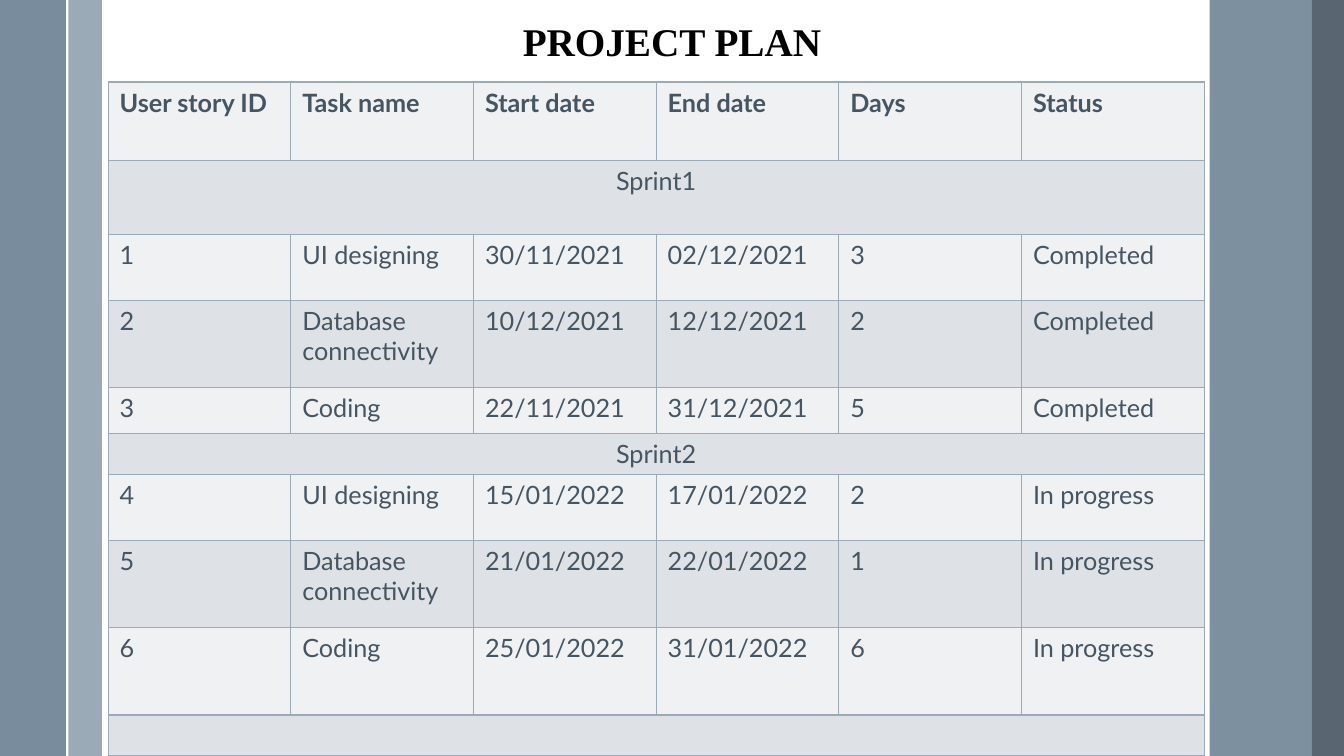
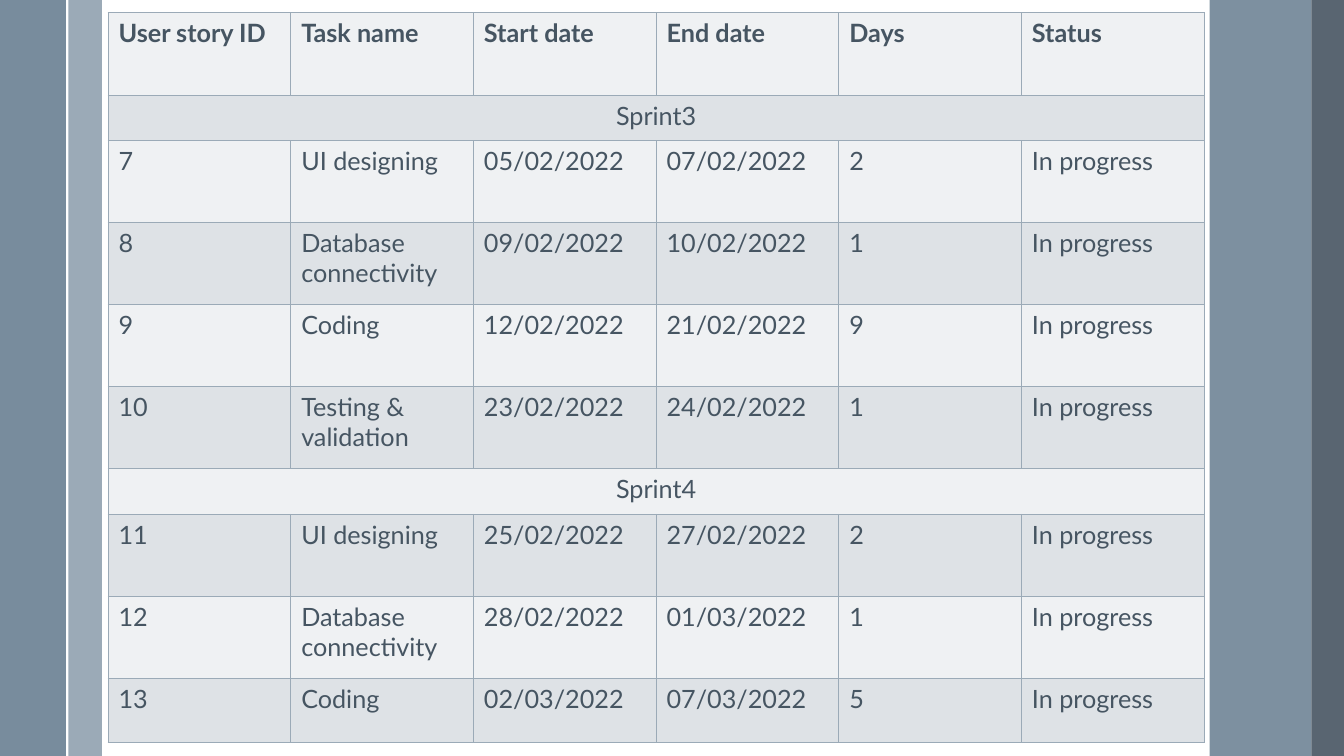
from dataclasses import dataclass

from lxml import etree
from pptx import Presentation
from pptx import util as u
from pptx.dml.color import RGBColor
from pptx.enum import shapes, text
from pptx.oxml.ns import qn

# Scale and page
EMU_PER_PX = 9525
WIDTH, HEIGHT = 1280, 720

# Shared style
WHITE, BLACK = "FFFFFF", "000000"
PALE_BAND, MID_BAND, DARK_BAND = "9BAAB7", "6A8093", "475562"
TABLE_TEXT, GRID = "465562", "9BAAB7"
ROW_FILLS = ("EFF1F3", "DEE2E6")
TITLE_FONT, TABLE_FONT = "Times New Roman", "Lato"
TABLE_LEFT, COLUMN_WIDTH = 103, 174
HEADINGS = ("User story ID", "Task name", "Start date", "End date", "Days", "Status")


@dataclass(frozen=True)
class Band:
    left: int
    width: int
    color: str
    opacity: int = 100


@dataclass(frozen=True)
class PlanRow:
    """A row with one cell spans the whole table."""
    height: int
    cells: tuple[str, ...]


@dataclass(frozen=True)
class PlanSlide:
    title: str
    table_top: int
    side_margin: int
    rows: tuple[PlanRow, ...]


BANDS = (
    Band(65, 32, PALE_BAND),
    Band(0, 64, MID_BAND, 90),
    Band(1152, 97, MID_BAND, 87),
    Band(1249, 31, DARK_BAND, 90),
)

DONE, ONGOING = "Completed", "In progress"
DESIGN, DATABASE, CODING = "UI designing", "Database connectivity", "Coding"

PLAN_SLIDES = (
    PlanSlide("PROJECT PLAN", 78, 11, (
        PlanRow(75, HEADINGS),
        PlanRow(70, ("Sprint1",)),
        PlanRow(63, ("1", DESIGN, "30/11/2021", "02/12/2021", "3", DONE)),
        PlanRow(83, ("2", DATABASE, "10/12/2021", "12/12/2021", "2", DONE)),
        PlanRow(44, ("3", CODING, "22/11/2021", "31/12/2021", "5", DONE)),
        PlanRow(39, ("Sprint2",)),
        PlanRow(63, ("4", DESIGN, "15/01/2022", "17/01/2022", "2", ONGOING)),
        PlanRow(83, ("5", DATABASE, "21/01/2022", "22/01/2022", "1", ONGOING)),
        PlanRow(83, ("6", CODING, "25/01/2022", "31/01/2022", "6", ONGOING)),
        PlanRow(39, ("",)),
    )),
    PlanSlide("", 12, 10, (
        PlanRow(79, HEADINGS),
        PlanRow(43, ("Sprint3",)),
        PlanRow(78, ("7", DESIGN, "05/02/2022", "07/02/2022", "2", ONGOING)),
        PlanRow(78, ("8", DATABASE, "09/02/2022", "10/02/2022", "1", ONGOING)),
        PlanRow(78, ("9", CODING, "12/02/2022", "21/02/2022", "9", ONGOING)),
        PlanRow(78, ("10", "Testing & validation", "23/02/2022", "24/02/2022", "1", ONGOING)),
        PlanRow(44, ("Sprint4",)),
        PlanRow(78, ("11", DESIGN, "25/02/2022", "27/02/2022", "2", ONGOING)),
        PlanRow(78, ("12", DATABASE, "28/02/2022", "01/03/2022", "1", ONGOING)),
        PlanRow(61, ("13", CODING, "02/03/2022", "07/03/2022", "5", ONGOING)),
    )),
)


def px(length: int) -> u.Emu:
    return u.Emu(length * EMU_PER_PX)


def paint(fill, color: str) -> None:
    fill.solid()
    fill.fore_color.rgb = RGBColor.from_string(color)


def format_runs(paragraph, font_name: str, size: int, color: str, bold: bool) -> None:
    for run in paragraph.runs:
        run.font.name = font_name
        run.font.size = u.Pt(size)
        run.font.bold = bold
        paint(run.font.fill, color)


# Side bands and divider
def draw_band(slide, band: Band) -> None:
    shape = slide.shapes.add_shape(
        shapes.MSO_SHAPE.RECTANGLE, px(band.left), 0, px(band.width), px(HEIGHT))
    shape.shadow.inherit = False
    shape.line.fill.background()
    paint(shape.fill, band.color)
    if band.opacity < 100:
        color = shape._element.spPr.find(qn("a:solidFill"))[0]
        etree.SubElement(color, qn("a:alpha"), val=str(band.opacity * 1000))


def draw_frame(slide) -> None:
    for band in BANDS:
        draw_band(slide, band)
    divider = slide.shapes.add_connector(
        shapes.MSO_CONNECTOR.STRAIGHT, px(64), 0, px(64), px(HEIGHT))
    paint(divider.line.fill, WHITE)
    divider.line.width = u.Pt(1.5)
    etree.SubElement(divider._element.spPr, qn("a:effectLst"))


# Title
def draw_title(slide, title: str) -> None:
    box = slide.shapes.add_textbox(px(481), px(12), px(318), px(55))
    box.text_frame.word_wrap = True
    box.text_frame.auto_size = text.MSO_AUTO_SIZE.SHAPE_TO_FIT_TEXT
    box.text_frame.text = title
    paragraph = box.text_frame.paragraphs[0]
    paragraph.alignment = text.PP_ALIGN.CENTER
    format_runs(paragraph, TITLE_FONT, 28, BLACK, True)


# Plan table
def add_borders(cell) -> None:
    properties = cell._tc.get_or_add_tcPr()
    for side in ("lnL", "lnR", "lnT", "lnB"):
        line = etree.SubElement(properties, qn(f"a:{side}"), w=str(u.Pt(1)))
        fill = etree.SubElement(line, qn("a:solidFill"))
        etree.SubElement(fill, qn("a:srgbClr"), val=GRID)


def draw_table(slide, plan: PlanSlide) -> None:
    columns = len(HEADINGS)
    table = slide.shapes.add_table(
        len(plan.rows), columns, px(TABLE_LEFT), px(plan.table_top),
        px(columns * COLUMN_WIDTH), px(sum(row.height for row in plan.rows))).table
    table.first_row = table.horz_banding = False
    for column in table.columns:
        column.width = px(COLUMN_WIDTH)
    for index, row in enumerate(plan.rows):
        table.rows[index].height = px(row.height)
        cells = list(table.rows[index].cells)
        for cell in cells:
            add_borders(cell)
            paint(cell.fill, ROW_FILLS[index % 2])
            cell.margin_left = cell.margin_right = px(plan.side_margin)
            cell.margin_top = cell.margin_bottom = px(5)
        spans_table = len(row.cells) == 1
        if spans_table:
            cells[0].merge(cells[-1])
        for cell, wording in zip(cells, row.cells):
            cell.text_frame.text = wording
            paragraph = cell.text_frame.paragraphs[0]
            if spans_table:
                paragraph.alignment = text.PP_ALIGN.CENTER
            format_runs(paragraph, TABLE_FONT, 18, TABLE_TEXT, index == 0)


def main() -> None:
    presentation = Presentation()
    presentation.slide_width, presentation.slide_height = px(WIDTH), px(HEIGHT)
    for plan in PLAN_SLIDES:
        slide = presentation.slides.add_slide(presentation.slide_layouts[6])
        paint(slide.background.fill, WHITE)
        draw_frame(slide)
        if plan.title:
            draw_title(slide, plan.title)
        draw_table(slide, plan)
    presentation.save("out.pptx")


if __name__ == "__main__":
    main()
